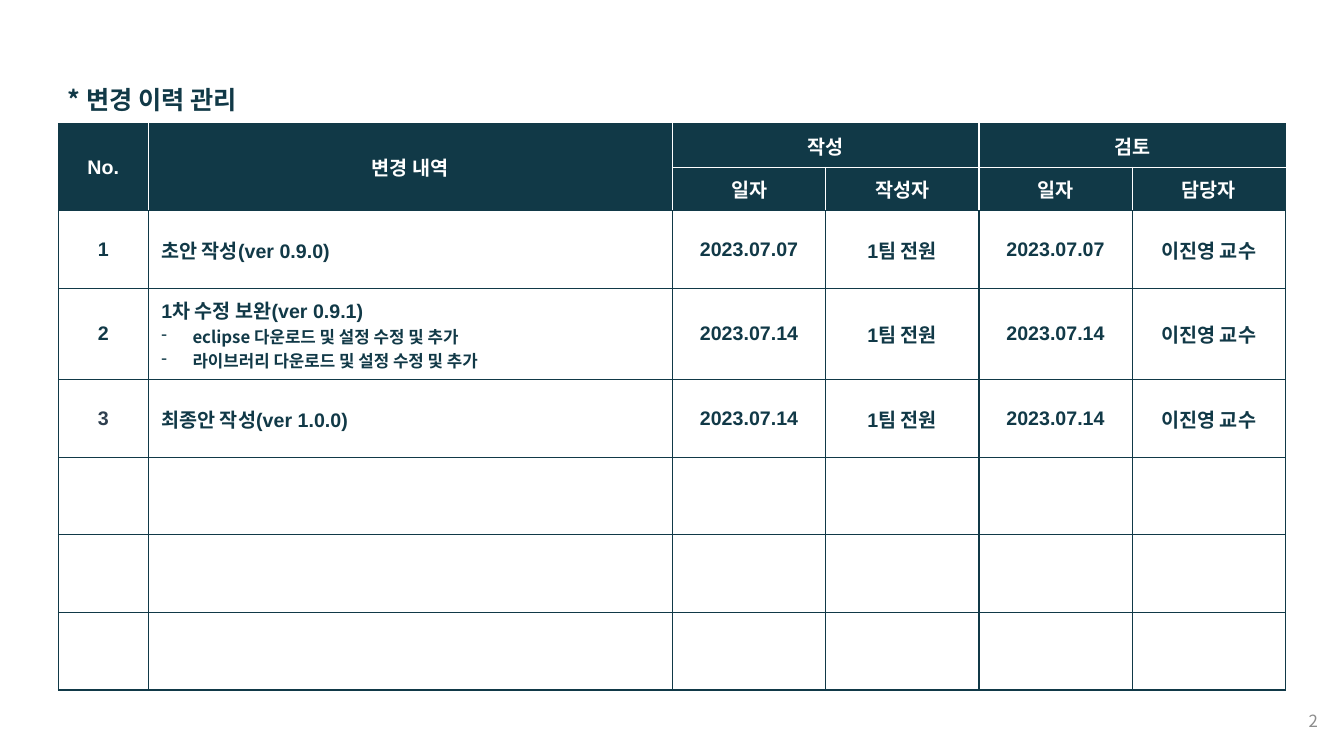
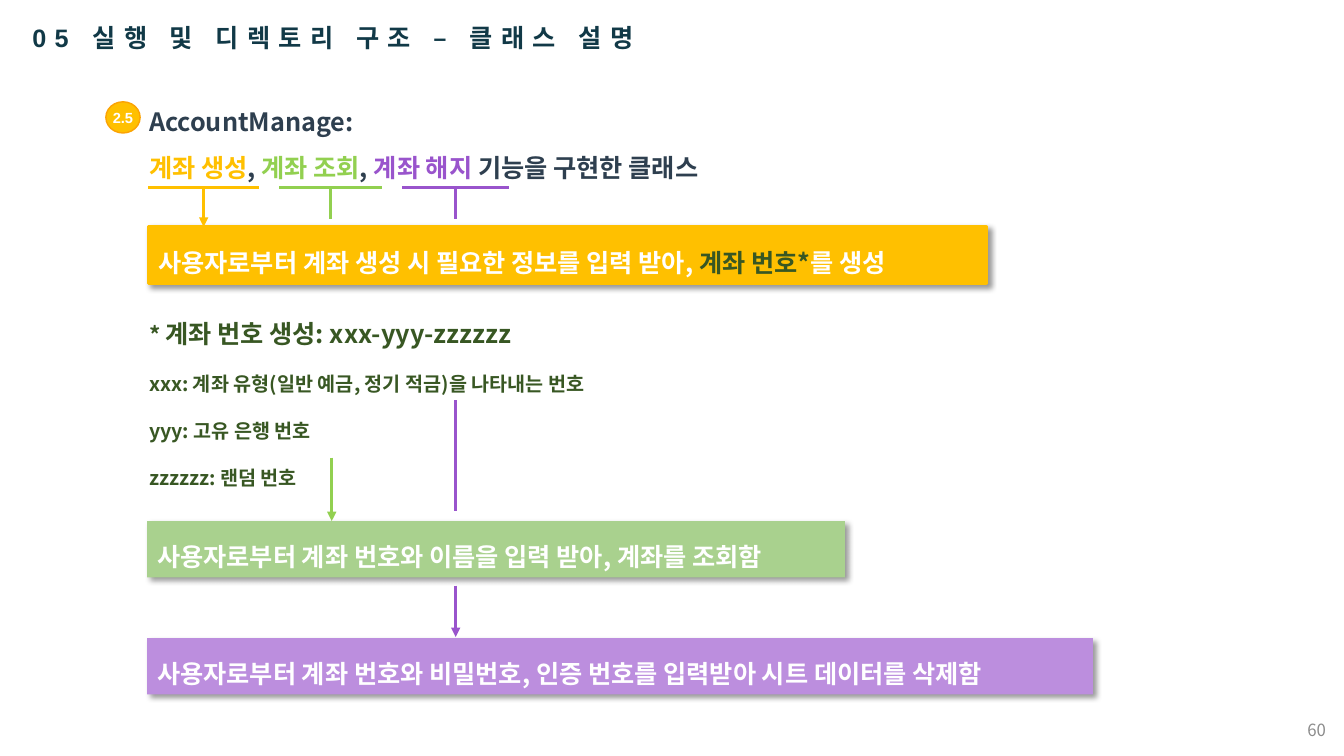
"""Build two slides: a change history table and a class description."""
import dataclasses

import lxml.etree
import pptx
import pptx.dml.color
import pptx.enum.shapes
import pptx.enum.text
import pptx.oxml
import pptx.oxml.ns
import pptx.util

Inches = pptx.util.Inches
Pt = pptx.util.Pt
RGB = pptx.dml.color.RGBColor.from_string
qn = pptx.oxml.ns.qn
SubElement = lxml.etree.SubElement
PP_ALIGN = pptx.enum.text.PP_ALIGN
ANCHOR = pptx.enum.text.MSO_ANCHOR
AUTO_SIZE = pptx.enum.text.MSO_AUTO_SIZE
SHAPE = pptx.enum.shapes.MSO_SHAPE


@dataclasses.dataclass(frozen=True)
class Theme:
    navy: str = "113947"
    slate: str = "2E3F4F"
    white: str = "FFFFFF"
    grey: str = "8C8C8C"
    yellow: str = "FFC000"
    amber: str = "FBA305"
    green: str = "92D050"
    pale_green: str = "A9D18E"
    purple: str = "9954CC"
    lilac: str = "BC8EDE"
    forest: str = "385723"
    black: str = "000000"
    latin: str = "Arial"
    korean: str = "Noto Sans CJK KR"
    heading: float = 18
    star: float = 16
    body: float = 14
    detail: float = 12
    badge: float = 10.5


theme = Theme()


def write_text(frame, paragraphs, base, line_spacing=1.0, alignment=PP_ALIGN.LEFT):
    """Fill a frame with paragraphs, each a list of (text, format changes)."""
    for index, runs in enumerate(paragraphs):
        paragraph = frame.add_paragraph() if index else frame.paragraphs[0]
        paragraph.alignment = alignment
        paragraph.line_spacing = line_spacing
        for text, changes in runs:
            style = {"name": theme.korean, "bold": True, "tracking": 0, "bullet": None, **base, **changes}
            if style["bullet"]:
                properties = paragraph._p.get_or_add_pPr()
                properties.set("marL", str(Inches(0.31)))
                properties.set("indent", str(-Inches(0.31)))
                SubElement(properties, qn("a:buChar"), char=style["bullet"])
            run = paragraph.add_run()
            run.text = text
            values = {"name": style["name"], "bold": style["bold"], "size": Pt(style["size"])}
            for attribute, value in values.items():
                setattr(run.font, attribute, value)
            run.font.color.rgb = RGB(style["color"])
            run_properties = run._r.get_or_add_rPr()
            SubElement(run_properties, qn("a:ea"), typeface=theme.korean)
            if style["tracking"]:
                run_properties.set("spc", str(style["tracking"] * 100))


def set_frame(frame, **changes):
    """Apply the common text frame format with changes."""
    formats = {"word_wrap": True, "auto_size": AUTO_SIZE.NONE, "vertical_anchor": ANCHOR.TOP, **changes}
    for attribute, value in formats.items():
        setattr(frame, attribute, value)
    return frame


presentation = pptx.Presentation()
presentation.slide_width = Inches(13.33)
presentation.slide_height = Inches(7.5)

slide_frames = [
    ("* 변경 이력 관리", (0.57, 0.79, 2.1, 0.4), {}, "2", (10.17, 6.95)),
    ("05 실행 및 디렉토리 구조 – 클래스 설명", (0.22, 0.17, 9.09, 0.4),
     {"name": theme.latin, "tracking": 6}, "60", (10.25, 7.04)),
]
for title_text, title_box, title_changes, number, (number_left, number_top) in slide_frames:
    slide = presentation.slides.add_slide(presentation.slide_layouts[5])
    title = slide.shapes.title
    title.left, title.top, title.width, title.height = map(Inches, title_box)
    write_text(set_frame(title.text_frame), [[(title_text, title_changes)]],
               {"size": theme.heading, "color": theme.navy})
    number_box = slide.shapes.add_textbox(Inches(number_left), Inches(number_top), Inches(3), Inches(0.4))
    write_text(set_frame(number_box.text_frame, vertical_anchor=ANCHOR.MIDDLE), [[(number, {})]],
               {"size": theme.detail, "color": theme.grey, "bold": False}, alignment=PP_ALIGN.RIGHT)

history_slide, class_slide = presentation.slides

column_widths = [0.89, 5.2] + [1.52] * 4
row_heights = [0.43] * 2 + [0.77] * 6
detail = {"size": theme.detail, "name": theme.korean, "bullet": "-"}
first_draft = [[("초안 작성(ver 0.9.0)", {})]]
revision = [
    [("1차 수정 보완(ver 0.9.1)", {})],
    [("eclipse 다운로드 및 설정 수정 및 추가", detail)],
    [("라이브러리 다운로드 및 설정 수정 및 추가", detail)],
]
final_draft = [[("최종안 작성(ver 1.0.0)", {})]]
table_rows = [
    ["No.", "변경 내역", "작성", "", "검토", ""],
    ["", "", "일자", "작성자", "일자", "담당자"],
]
changes_by_date = [(first_draft, "2023.07.07"), (revision, "2023.07.14"), (final_draft, "2023.07.14")]
for number, (description, date) in enumerate(changes_by_date, 1):
    table_rows.append([str(number), description, date, "1팀 전원", date, "이진영 교수"])
table_rows += [[""] * 6] * 3

table = history_slide.shapes.add_table(
    len(row_heights), len(column_widths), Inches(0.58), Inches(1.23),
    Inches(sum(column_widths)), Inches(sum(row_heights))).table
table.first_row = table.horz_banding = False
for column, width in zip(table.columns, column_widths):
    column.width = Inches(width)
for row, height in zip(table.rows, row_heights):
    row.height = Inches(height)
for first, last in [((0, 0), (1, 0)), ((0, 1), (1, 1)), ((0, 2), (0, 3)), ((0, 4), (0, 5))]:
    table.cell(*first).merge(table.cell(*last))

white_edges = [{1, 2, 4}, {1, 2, 3, 4, 5}]
for row_index, values in enumerate(table_rows):
    is_header = row_index < 2
    for column_index, value in enumerate(values):
        cell = table.cell(row_index, column_index)
        cell.vertical_anchor = ANCHOR.MIDDLE
        cell.margin_left = cell.margin_right = Inches(0.13)
        cell.margin_top = cell.margin_bottom = Inches(0.07)
        white_sides = {
            "lnL": is_header and column_index in white_edges[row_index],
            "lnR": is_header and column_index + 1 in white_edges[row_index],
            "lnT": row_index == 1 and column_index > 1,
            "lnB": row_index == 0 and column_index > 1,
        }
        cell_properties = cell._tc.get_or_add_tcPr()
        for side, is_white in white_sides.items():
            border = SubElement(cell_properties, qn(f"a:{side}"), w=str(Pt(1)))
            border_fill = SubElement(border, qn("a:solidFill"))
            SubElement(border_fill, qn("a:srgbClr"), val=theme.white if is_white else theme.navy)
        if is_header:
            cell.fill.solid()
            cell.fill.fore_color.rgb = RGB(theme.navy)
        else:
            cell.fill.background()
        if value:
            is_description = isinstance(value, list)
            color = theme.white if is_header else theme.slate if value == "3" else theme.navy
            write_text(cell.text_frame, value if is_description else [[(value, {})]],
                       {"size": theme.body, "name": theme.latin, "color": color},
                       alignment=PP_ALIGN.LEFT if is_description else PP_ALIGN.CENTER)

badge = class_slide.shapes.add_shape(SHAPE.OVAL, Inches(1.05), Inches(1.01), Inches(0.34), Inches(0.31))
badge.shadow.inherit = False
badge.fill.solid()
badge.fill.fore_color.rgb = RGB(theme.yellow)
badge.line.color.rgb = RGB(theme.amber)
badge.line.width = Pt(1)
no_margins = dict.fromkeys(["margin_left", "margin_top", "margin_right", "margin_bottom"], 0)
write_text(set_frame(badge.text_frame, vertical_anchor=ANCHOR.MIDDLE, **no_margins), [[("2.5", {})]],
           {"size": theme.badge, "name": theme.latin, "color": theme.white}, alignment=PP_ALIGN.CENTER)

text_blocks = [
    ((1.38, 0.86, 7.6, 1.01), 1.5, {"size": theme.heading, "color": theme.slate}, [
        [("AccountManage:", {})],
        [("계좌 생성", {"color": theme.yellow}), (", ", {}), ("계좌 조회", {"color": theme.green}), (", ", {}),
         ("계좌 해지", {"color": theme.purple}), (" 기능을 구현한 클래스", {})],
    ]),
    ((1.38, 2.81, 4.96, 2.12), 2.0, {"size": theme.body, "color": theme.forest}, [
        [("* ", {"size": theme.star}), ("계좌 번호 생성: xxx-yyy-zzzzzz", {"size": theme.heading})],
        [("xxx: 계좌 유형(일반 예금, 정기 적금)을 나타내는 번호", {})],
        [("yyy: 고유 은행 번호", {})],
        [("zzzzzz: 랜덤 번호", {})],
    ]),
]
for box, line_spacing, base, paragraphs in text_blocks:
    text_box = class_slide.shapes.add_textbox(*map(Inches, box))
    write_text(set_frame(text_box.text_frame, auto_size=AUTO_SIZE.SHAPE_TO_FIT_TEXT),
               paragraphs, base, line_spacing)

banners = [
    (1.47, 2.25, 8.31, theme.yellow, theme.yellow,
     [("사용자로부터 계좌 생성 시 필요한 정보를 입력 받아, ", {}),
      ("계좌 번호*", {"color": theme.forest}), ("를 생성", {})]),
    (1.46, 5.17, 6.92, theme.pale_green, None,
     [("사용자로부터 계좌 번호와 이름을 입력 받아, 계좌를 조회함", {})]),
    (1.46, 6.33, 9.38, theme.lilac, None,
     [("사용자로부터 계좌 번호와 비밀번호, 인증 번호를 입력받아 시트 데이터를 삭제함", {})]),
]
for left, top, width, fill_color, line_color, runs in banners:
    banner = class_slide.shapes.add_shape(SHAPE.RECTANGLE, Inches(left), Inches(top), Inches(width), Inches(0.56))
    banner.fill.solid()
    banner.fill.fore_color.rgb = RGB(fill_color)
    if line_color:
        banner.line.color.rgb = RGB(line_color)
        banner.line.width = Pt(2.25)
    else:
        banner.line.fill.background()
    banner.shadow.inherit = False
    effects = banner._element.spPr.find(qn("a:effectLst"))
    shadow = SubElement(effects, qn("a:outerShdw"), blurRad=str(Pt(4)), dist=str(Pt(3)),
                        dir="2700000", algn="tl", rotWithShape="0")
    shadow_color = SubElement(shadow, qn("a:srgbClr"), val=theme.black)
    SubElement(shadow_color, qn("a:alpha"), val="40000")
    write_text(set_frame(banner.text_frame, auto_size=AUTO_SIZE.SHAPE_TO_FIT_TEXT), [runs],
               {"size": theme.heading, "color": theme.white}, 1.5)

underline_top = 1.86
feature_lines = [
    (theme.yellow, (1.47, 2.57), [(2.02, underline_top, 2.25)]),
    (theme.green, (2.77, 3.79), [(3.28, underline_top, 2.17), (3.29, 4.54, 5.17)]),
    (theme.purple, (3.99, 5.05), [(4.52, underline_top, 2.17), (4.52, 3.97, 5.07), (4.52, 5.81, 6.32)]),
]
for color, (underline_left, underline_right), stems in feature_lines:
    segments = [(underline_left, underline_top, underline_right, underline_top)]
    segments += [(x, top, x, bottom) for x, top, bottom in stems]
    for segment in segments:
        connector = class_slide.shapes.add_connector(
            pptx.enum.shapes.MSO_CONNECTOR.STRAIGHT, *map(Inches, segment))
        connector.line.color.rgb = RGB(color)
        connector.line.width = Pt(2.25)
        connector_properties = connector._element.spPr
        if segment == segments[-1]:
            SubElement(connector_properties.find(qn("a:ln")), qn("a:tailEnd"), type="triangle")
        SubElement(connector_properties, qn("a:effectLst"))

presentation.save("out.pptx")
